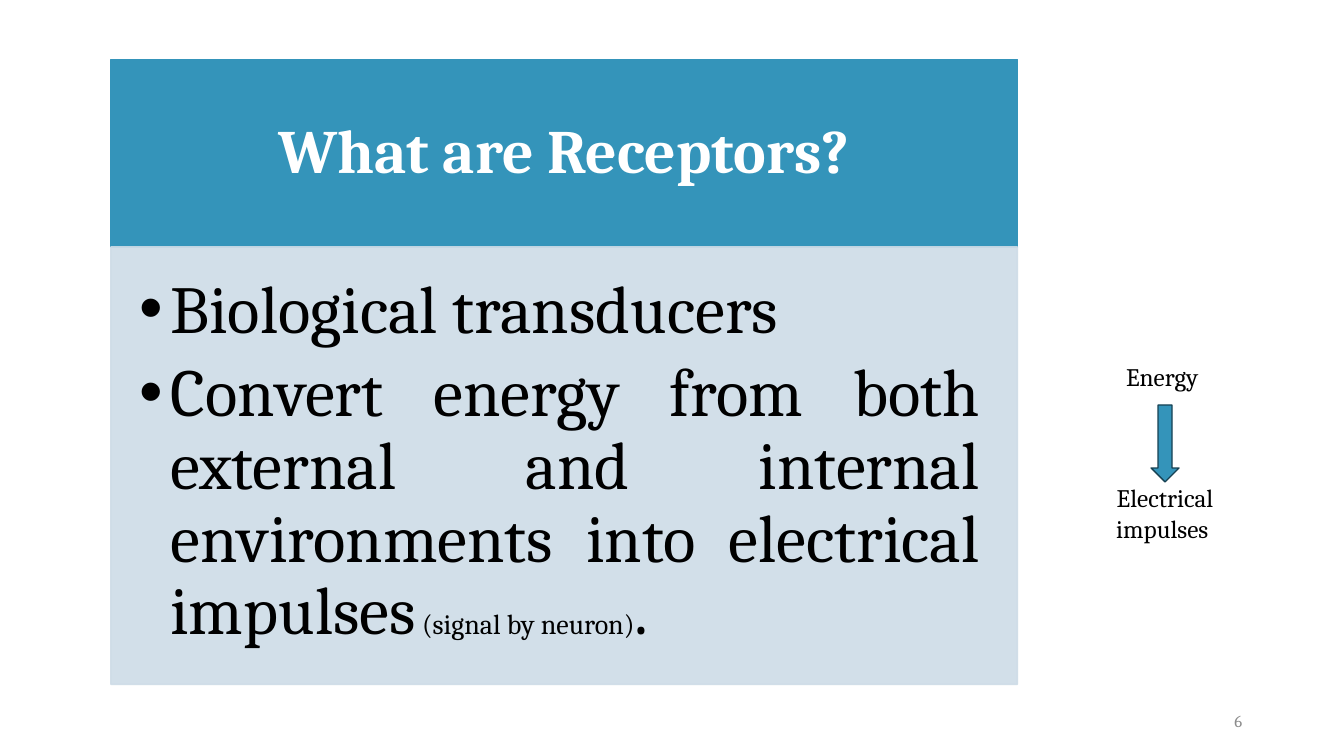
from pptx import Presentation
from pptx.dml.color import RGBColor
from pptx.enum.shapes import MSO_SHAPE
from pptx.enum.text import MSO_ANCHOR, PP_ALIGN
from pptx.oxml.ns import qn
from pptx.util import Inches, Pt
from lxml.etree import SubElement

COLORS = {"teal": "3494BA", "pale": "CEDCE7", "edge": "174152",
          "white": "FFFFFF", "black": "000000", "gray": "8C8C8C"}
FONT = "Cambria"


def color(name):
    return RGBColor.from_string(COLORS[name])


def add_run(para, text, size, tone="black", bold=False):
    run = para.add_run()
    run.text = text
    font = run.font
    font.name, font.size, font.bold = FONT, Pt(size), bold
    font.color.rgb = color(tone)


def set_frame(shape, anchor, pads=(0.1, 0.05, 0.1, 0.05)):
    frame = shape.text_frame
    frame.word_wrap = True
    frame.vertical_anchor = anchor
    (frame.margin_left, frame.margin_top,
     frame.margin_right, frame.margin_bottom) = map(Inches, pads)
    return frame


def add_block(slide, kind, box, fill, edge, alpha=None):
    shape = slide.shapes.add_shape(kind, *map(Inches, box))
    shape.shadow.inherit = False
    shape.fill.solid()
    shape.fill.fore_color.rgb = color(fill)
    shape.line.color.rgb = color(edge)
    shape.line.width = Pt(1)
    if alpha:
        for tint in shape._element.spPr.iter(qn("a:srgbClr")):
            SubElement(tint, qn("a:alpha"), val=str(alpha * 1000))
    return shape


def add_label(slide, box, text, size, align, anchor=MSO_ANCHOR.TOP, tone="black"):
    label = slide.shapes.add_textbox(*map(Inches, box))
    para = set_frame(label, anchor).paragraphs[0]
    para.alignment = align
    add_run(para, text, size, tone)


def add_bullet(para, indent):
    props = para._p.get_or_add_pPr()
    props.set("marL", str(Inches(indent)))
    props.set("indent", str(-Inches(indent)))
    para.alignment = PP_ALIGN.JUSTIFY
    para.line_spacing = 0.9
    para.space_after = Pt(8)
    SubElement(props, qn("a:buFont"), typeface="Arial")
    SubElement(props, qn("a:buChar"), char="•")


def add_panel(slide, box, title, points):
    left, top, width, height = box
    head = height * 0.3

    # Heading band
    band = add_block(slide, MSO_SHAPE.RECTANGLE, (left, top, width, head), "teal", "teal")
    para = set_frame(band, MSO_ANCHOR.MIDDLE, (0.34, 0.2, 0.34, 0.2)).paragraphs[0]
    para.alignment = PP_ALIGN.CENTER
    para.line_spacing = 0.9
    add_run(para, title, 44, "white", True)

    # Bulleted body
    body = add_block(slide, MSO_SHAPE.RECTANGLE,
                     (left, top + head, width, height - head), "pale", "pale", 90)
    frame = set_frame(body, MSO_ANCHOR.TOP, (0.28, 0.28, 0.37, 0.42))
    for i, runs in enumerate(points):
        para = frame.add_paragraph() if i else frame.paragraphs[0]
        add_bullet(para, 0.31)
        for text, size in runs:
            add_run(para, text, size)


def add_flow(slide, box, start, end):
    left, top, width, height = box
    add_label(slide, (left, top, width, 0.4), start, 18, PP_ALIGN.CENTER)
    add_block(slide, MSO_SHAPE.DOWN_ARROW,
              (left + width * 0.42, top + height * 0.25, width * 0.16, height * 0.4),
              "teal", "edge")
    add_label(slide, (left, top + height - 0.71, width, 0.71), end, 18, PP_ALIGN.CENTER)


def main():
    prs = Presentation()
    prs.slide_width, prs.slide_height = Inches(13.33), Inches(7.5)
    slide = prs.slides.add_slide(prs.slide_layouts[6])

    # Page number
    add_label(slide, (9.42, 6.95, 3, 0.4), "6", 12, PP_ALIGN.RIGHT,
              MSO_ANCHOR.MIDDLE, "gray")

    # Definition panel
    add_panel(slide, (1.1, 0.59, 8.99, 6.2), "What are Receptors?", [
        [("Biological transducers ", 48)],
        [("Convert energy from both external and internal environments "
          "into electrical impulses", 48),
         (" (signal by neuron)", 20), (". ", 48)],
    ])

    # Energy flow
    add_flow(slide, (10.69, 3.54, 1.73, 1.91), "Energy ", "Electrical impulses ")

    prs.save("out.pptx")


if __name__ == "__main__":
    main()
